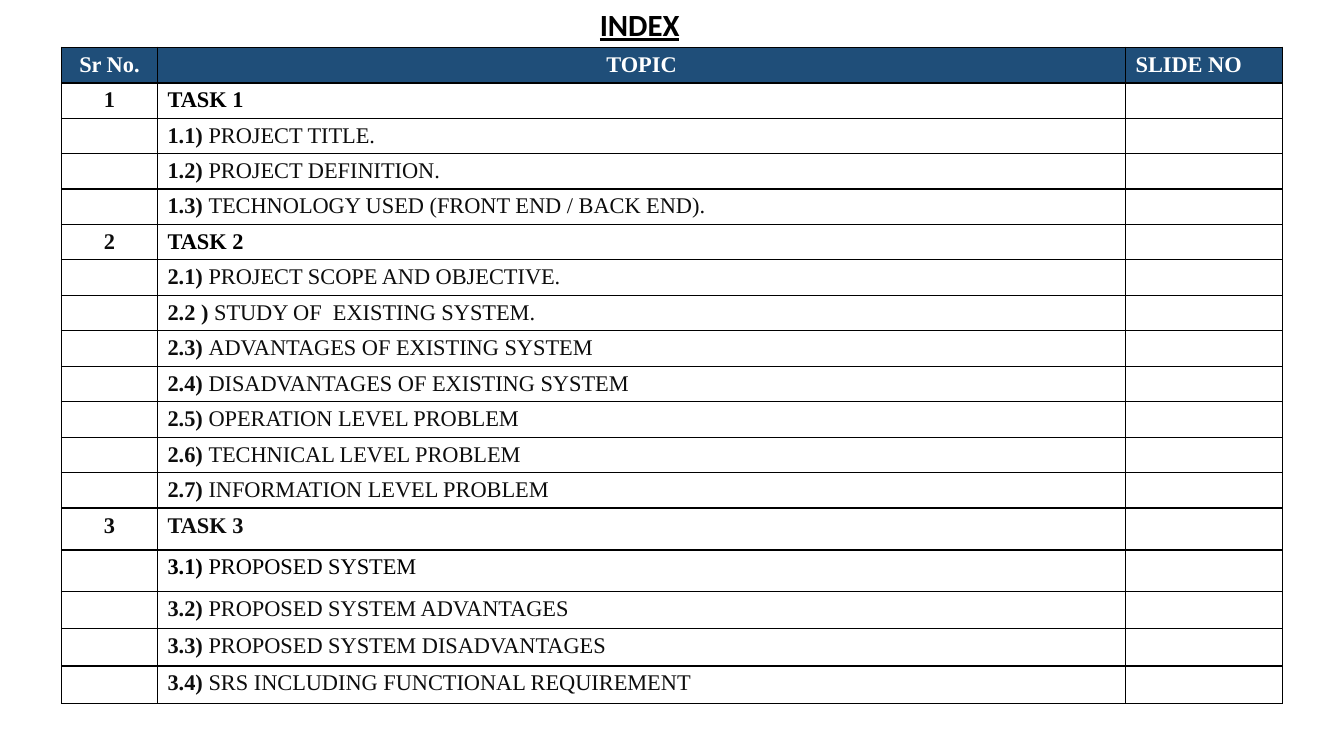
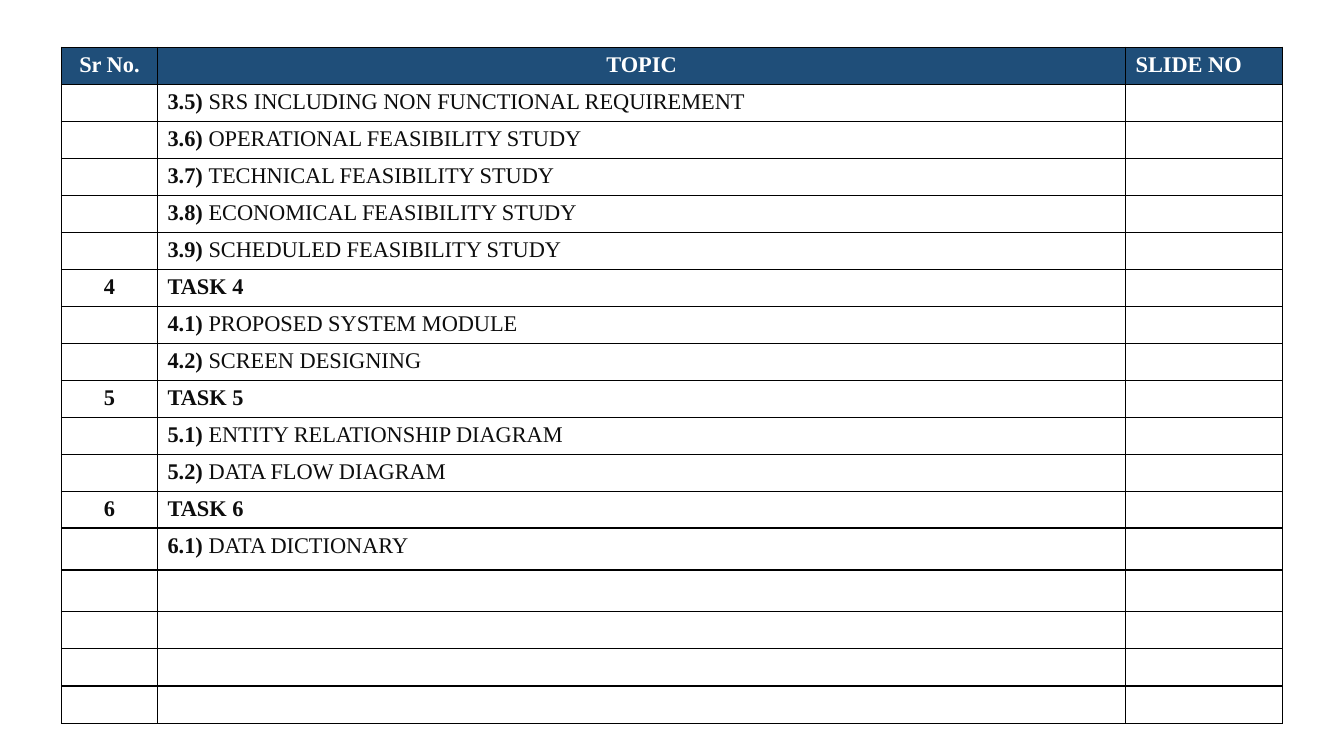
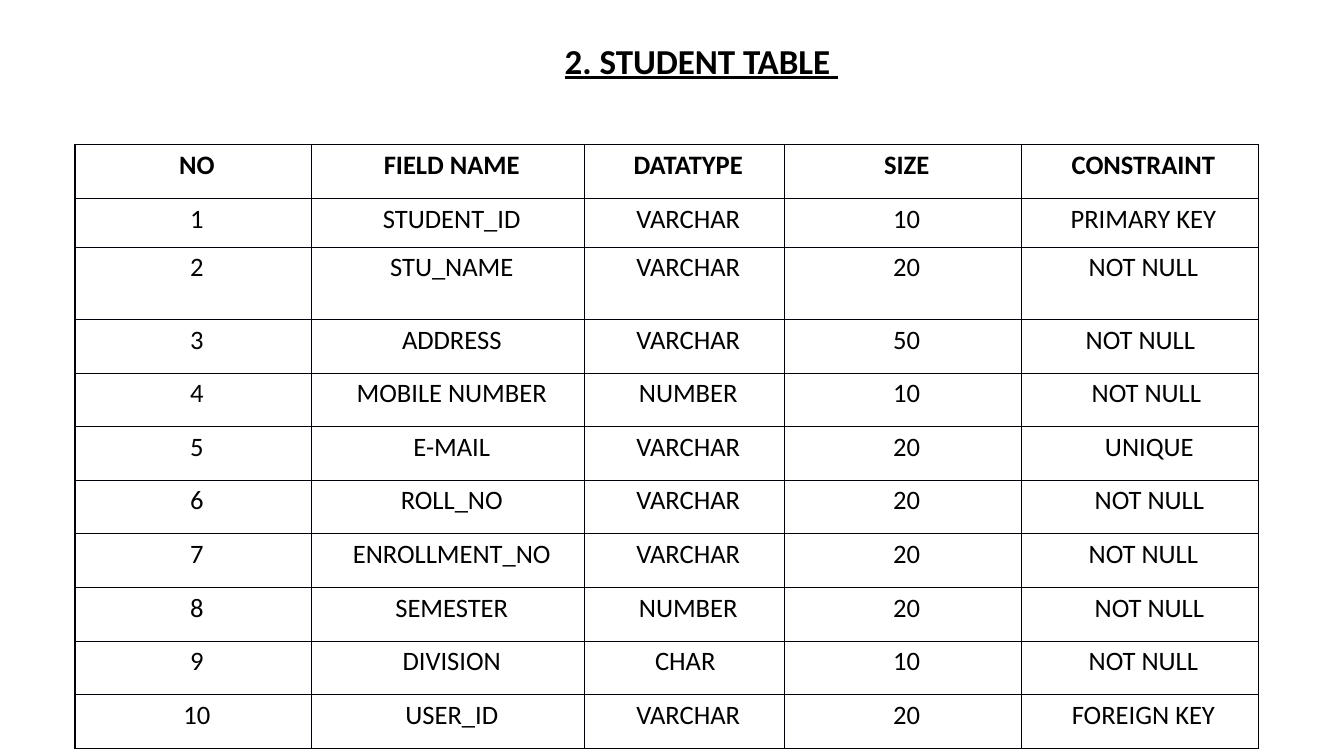
from pptx import Presentation
from pptx.dml.color import RGBColor
from pptx.enum.text import MSO_ANCHOR, PP_ALIGN
from pptx.oxml.ns import qn
from pptx.util import Pt
from lxml import etree

PX = 914400 / 192
LEFT, CENTER = PP_ALIGN.LEFT, PP_ALIGN.CENTER
BOTTOM = MSO_ANCHOR.BOTTOM

BLACK = RGBColor(0x00, 0x00, 0x00)
INK = RGBColor(0x0D, 0x0D, 0x0D)
WHITE = RGBColor(0xFF, 0xFF, 0xFF)
NAVY = RGBColor(0x1F, 0x4E, 0x79)
RULE = RGBColor(0x00, 0x00, 0x08)
SERIF, SANS = "Times New Roman", "Calibri"


def add_title(s, text, left, top, width, height, size):
    """Bold underlined heading, centred at the foot of its box."""
    sp = s.shapes.add_textbox(*(round(v * PX) for v in (left, top, width, height)))
    tf = sp.text_frame
    tf.word_wrap = True
    tf.vertical_anchor = BOTTOM
    p = tf.paragraphs[0]
    p.alignment = CENTER
    r = p.add_run()
    r.text = text
    f = r.font
    f.name, f.size, f.bold, f.underline = SANS, Pt(size), True, True
    f.color.rgb = BLACK


def add_grid(s, left, top, widths, heights, rows, font, size, line, row_rule, header_fill=None):
    """Ruled table; each cell is (alignment, [(text, bold, colour), ...])."""
    frame = s.shapes.add_table(len(heights), len(widths), round(left * PX), round(top * PX),
                               round(sum(widths) * PX), round(sum(heights) * PX))
    table = frame.table
    table.first_row = table.horz_banding = False
    for col, width in zip(table.columns, widths):
        col.width = round(width * PX)
    for row, height in zip(table.rows, heights):
        row.height = round(height * PX)
    for i, row in enumerate(rows):
        for j, (align, runs) in enumerate(row):
            cell = table.cell(i, j)
            # Borders come before the fill in the cell properties
            tc_pr = cell._tc.get_or_add_tcPr()
            top_rule = row_rule if i else 1
            for side, weight in (("L", 1), ("R", 1), ("T", top_rule), ("B", row_rule)):
                ln = etree.SubElement(tc_pr, qn("a:ln" + side), w=str(Pt(weight)))
                fill = etree.SubElement(ln, qn("a:solidFill"))
                etree.SubElement(fill, qn("a:srgbClr"), val=str(line))
            if header_fill and i == 0:
                cell.fill.solid()
                cell.fill.fore_color.rgb = header_fill
            else:
                cell.fill.background()
            p = cell.text_frame.paragraphs[0]
            p.alignment = align
            for text, bold, color in runs:
                r = p.add_run()
                r.text = text
                f = r.font
                f.name, f.size, f.bold = font, Pt(size), bold
                f.color.rgb = color
            if not runs:
                # Keep an empty cell from stretching its row
                cell.margin_top = cell.margin_bottom = 0
                etree.SubElement(p._p, qn("a:endParaRPr"), sz="1200")
    return table


prs = Presentation()
prs.slide_width, prs.slide_height = round(2560 * PX), round(1440 * PX)
blank = prs.slide_layouts[6]

# Index slides
INDEX_WIDTHS = [183, 1844, 299]
INDEX_HEIGHTS = [68, 67] * 6 + [68, 80, 79] + [71] * 3
BLACK_TOPICS = ("TASK 1", "TASK 2", "3.1) PROPOSED SYSTEM")
index_pages = [
    [
        "TASK 1",
        "1.1) PROJECT TITLE.",
        "1.2) PROJECT DEFINITION.",
        "1.3) TECHNOLOGY USED (FRONT END / BACK END).",
        "TASK 2",
        "2.1) PROJECT SCOPE AND OBJECTIVE.",
        "2.2 ) STUDY OF  EXISTING SYSTEM.",
        "2.3) ADVANTAGES OF EXISTING SYSTEM",
        "2.4) DISADVANTAGES OF EXISTING SYSTEM",
        "2.5) OPERATION LEVEL PROBLEM",
        "2.6) TECHNICAL LEVEL PROBLEM",
        "2.7) INFORMATION LEVEL PROBLEM",
        "TASK 3",
        "3.1) PROPOSED SYSTEM",
        "3.2) PROPOSED SYSTEM ADVANTAGES",
        "3.3) PROPOSED SYSTEM DISADVANTAGES",
        "3.4) SRS INCLUDING FUNCTIONAL REQUIREMENT",
    ],
    [
        "3.5) SRS INCLUDING NON FUNCTIONAL REQUIREMENT",
        "3.6) OPERATIONAL FEASIBILITY STUDY",
        "3.7) TECHNICAL FEASIBILITY STUDY",
        "3.8) ECONOMICAL FEASIBILITY STUDY",
        "3.9) SCHEDULED FEASIBILITY STUDY",
        "TASK 4",
        "4.1) PROPOSED SYSTEM MODULE",
        "4.2) SCREEN DESIGNING",
        "TASK 5",
        "5.1) ENTITY RELATIONSHIP DIAGRAM",
        "5.2) DATA FLOW DIAGRAM",
        "TASK 6",
        "6.1) DATA DICTIONARY",
    ],
]
for page, topics in enumerate(index_pages):
    s = prs.slides.add_slide(blank)
    rows = [[(CENTER, [("Sr No.", True, WHITE)]),
             (CENTER, [("TOPIC", True, WHITE)]),
             (LEFT, [("SLIDE NO", True, WHITE)])]]
    for topic in topics:
        color = BLACK if topic in BLACK_TOPICS else INK
        if topic.startswith("TASK"):
            number = [(topic.split()[1], True, INK)]
            label = [(topic, True, color)]
        else:
            mark, name = topic.split(") ", 1)
            number = []
            label = [(mark + ") ", True, color), (name, False, color)]
        rows.append([(CENTER, number), (LEFT, label), (LEFT, [])])
    rows += [[(LEFT, [])] * 3] * (len(INDEX_HEIGHTS) - len(rows))
    add_grid(s, 117, 90, INDEX_WIDTHS, INDEX_HEIGHTS, rows, SERIF, 16, BLACK, 1, NAVY)
    if page == 0:
        add_title(s, "INDEX", 682, 0, 1073, 90, 22)

# Student table slide
s = prs.slides.add_slide(blank)
add_title(s, "2. STUDENT TABLE ", 854, -7, 964, 171, 25)
fields = [
    ("NO", "FIELD NAME", "DATATYPE", "SIZE", "CONSTRAINT"),
    ("1", "STUDENT_ID", "VARCHAR", "10", " PRIMARY KEY "),
    ("2", "STU_NAME", "VARCHAR", "20", "NOT NULL"),
    ("3", "ADDRESS", "VARCHAR", "50", "NOT NULL "),
    ("4", "MOBILE NUMBER", "NUMBER", "10", " NOT NULL"),
    ("5", "E-MAIL", "VARCHAR", "20", "  UNIQUE"),
    ("6", "ROLL_NO", "VARCHAR", "20", "  NOT NULL"),
    ("7", "ENROLLMENT_NO", "VARCHAR", "20", " NOT NULL "),
    ("8", "SEMESTER", "NUMBER", "20", "  NOT NULL"),
    ("9", "DIVISION", "CHAR ", "10", " NOT NULL "),
    ("10", "USER_ID", "VARCHAR", "20", "FOREIGN KEY"),
]
rows = [[(CENTER, [(text, i == 0, BLACK)]) for text in field] for i, field in enumerate(fields)]
table = add_grid(s, 143, 275, [451, 520, 381, 451, 451],
                 [103, 93, 138] + [102] * 8, rows, SANS, 19, RULE, 0.5)
for cell in table.iter_cells():
    cell.margin_left = cell.margin_right = round(13 * PX)
    cell.margin_top = cell.margin_bottom = 0
    p = cell.text_frame.paragraphs[0]
    p.line_spacing = 1.14
    p._p.get_or_add_pPr().set("marL", str(round(13 * PX)))

prs.save("out.pptx")
